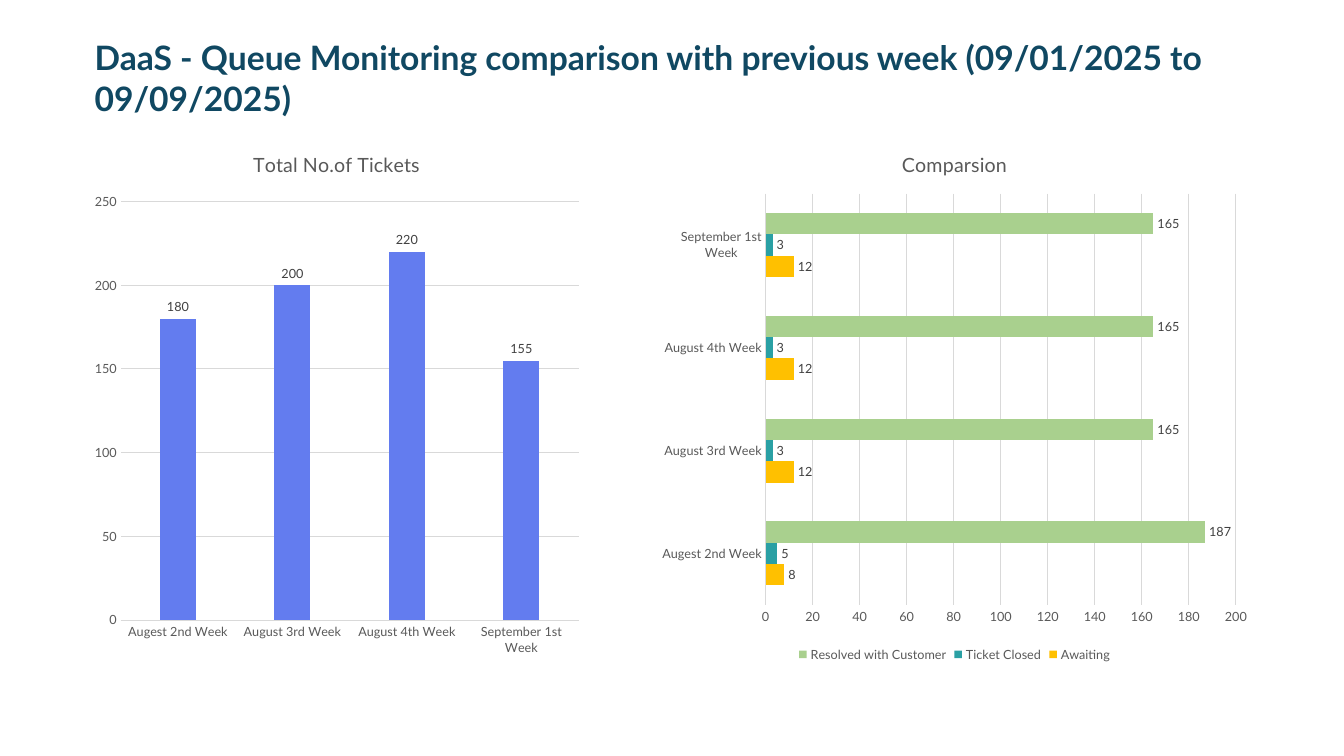
import pptx
import pptx.util
import pptx.chart.data
import pptx.dml.color
import pptx.enum.chart
import pptx.enum.text

Pt = pptx.util.Pt
RGB = pptx.dml.color.RGBColor
KIND = pptx.enum.chart.XL_CHART_TYPE

FONT = "Lato"
NAVY = RGB(0x10, 0x48, 0x62)
BLACK = RGB(0, 0, 0)
GREY = RGB(0x59, 0x59, 0x59)
DARK = RGB(0x40, 0x40, 0x40)
PALE = RGB(0xD9, 0xD9, 0xD9)
BLUE = RGB(0x63, 0x7C, 0xEF)
GOLD = RGB(0xFF, 0xC0, 0x00)
TEAL = RGB(0x2A, 0xA0, 0xA4)
GREEN = RGB(0xA9, 0xD0, 0x8E)

WEEKS = ["Augest 2nd Week", "August 3rd Week", "August 4th Week",
         "September 1st Week"]
TOTAL = [("Series 1", [180, 200, 220, 155], BLUE)]
STATUS = [("Awaiting", [8, 12, 12, 12], GOLD),
          ("Ticket Closed", [5, 3, 3, 3], TEAL),
          ("Resolved with Customer", [187, 165, 165, 165], GREEN)]
TOP, HEIGHT = 93.6, 382.3


def set_font(font, size, color, bold=False):
    font.name = FONT
    font.size = Pt(size)
    font.bold = bold
    font.color.rgb = color


def set_line(line, color):
    line.color.rgb = color
    line.width = Pt(0.75)


def add_head(slide, text):
    box = slide.shapes.add_textbox(Pt(60.5), Pt(23), Pt(850.3), Pt(36))
    frame = box.text_frame
    frame.word_wrap = True
    frame.auto_size = pptx.enum.text.MSO_AUTO_SIZE.SHAPE_TO_FIT_TEXT
    para = frame.paragraphs[0]
    para.text = text
    set_font(para.font, 24, NAVY, True)


def style_axes(chart, top, step):
    for axis in (chart.category_axis, chart.value_axis):
        axis.major_tick_mark = pptx.enum.chart.XL_TICK_MARK.NONE
        set_font(axis.tick_labels.font, 9, GREY)
    set_line(chart.category_axis.format.line, PALE)
    values = chart.value_axis
    values.minimum_scale = 0
    values.maximum_scale = top
    values.major_unit = step
    values.format.line.fill.background()
    set_line(values.major_gridlines.format.line, PALE)


def add_graph(slide, kind, left, width, title, rows, gap, lap, top, step):
    data = pptx.chart.data.CategoryChartData()
    data.categories = WEEKS
    for name, values, _ in rows:
        data.add_series(name, values)
    chart = slide.shapes.add_chart(kind, Pt(left), Pt(TOP), Pt(width),
                                   Pt(HEIGHT), data).chart
    set_font(chart.font, 10, BLACK)

    # Title and axes
    para = chart.chart_title.text_frame.paragraphs[0]
    para.text = title
    set_font(para.font, 14, GREY)
    chart.chart_title.include_in_layout = False
    style_axes(chart, top, step)

    # Bars with their values
    plot = chart.plots[0]
    plot.gap_width = gap
    plot.overlap = lap
    plot.vary_by_categories = False
    for bars, (_, _, color) in zip(plot.series, rows):
        bars.format.fill.solid()
        bars.format.fill.fore_color.rgb = color
        labels = bars.data_labels
        labels.show_value = True
        labels.position = pptx.enum.chart.XL_LABEL_POSITION.OUTSIDE_END
        set_font(labels.font, 9, DARK)

    # Legend, needed only for several series
    chart.has_legend = len(rows) > 1
    if chart.has_legend:
        chart.legend.position = pptx.enum.chart.XL_LEGEND_POSITION.BOTTOM
        chart.legend.include_in_layout = False
        set_font(chart.legend.font, 9, GREY)


def main():
    deck = pptx.Presentation()
    deck.slide_width, deck.slide_height = Pt(960), Pt(540)
    slide = deck.slides.add_slide(deck.slide_layouts[6])
    add_head(slide, "DaaS - Queue Monitoring comparison with previous week "
                    "(09/01/2025 to 09/09/2025)")
    # Tickets per week
    add_graph(slide, KIND.COLUMN_CLUSTERED, 60.5, 360,
              "Total No.of Tickets", TOTAL, 219, -27, 250, 50)
    # Tickets by status
    add_graph(slide, KIND.BAR_CLUSTERED, 464.4, 434.9,
              "Comparsion", STATUS, 182, 0, 200, 20)
    deck.save("out.pptx")


if __name__ == "__main__":
    main()
